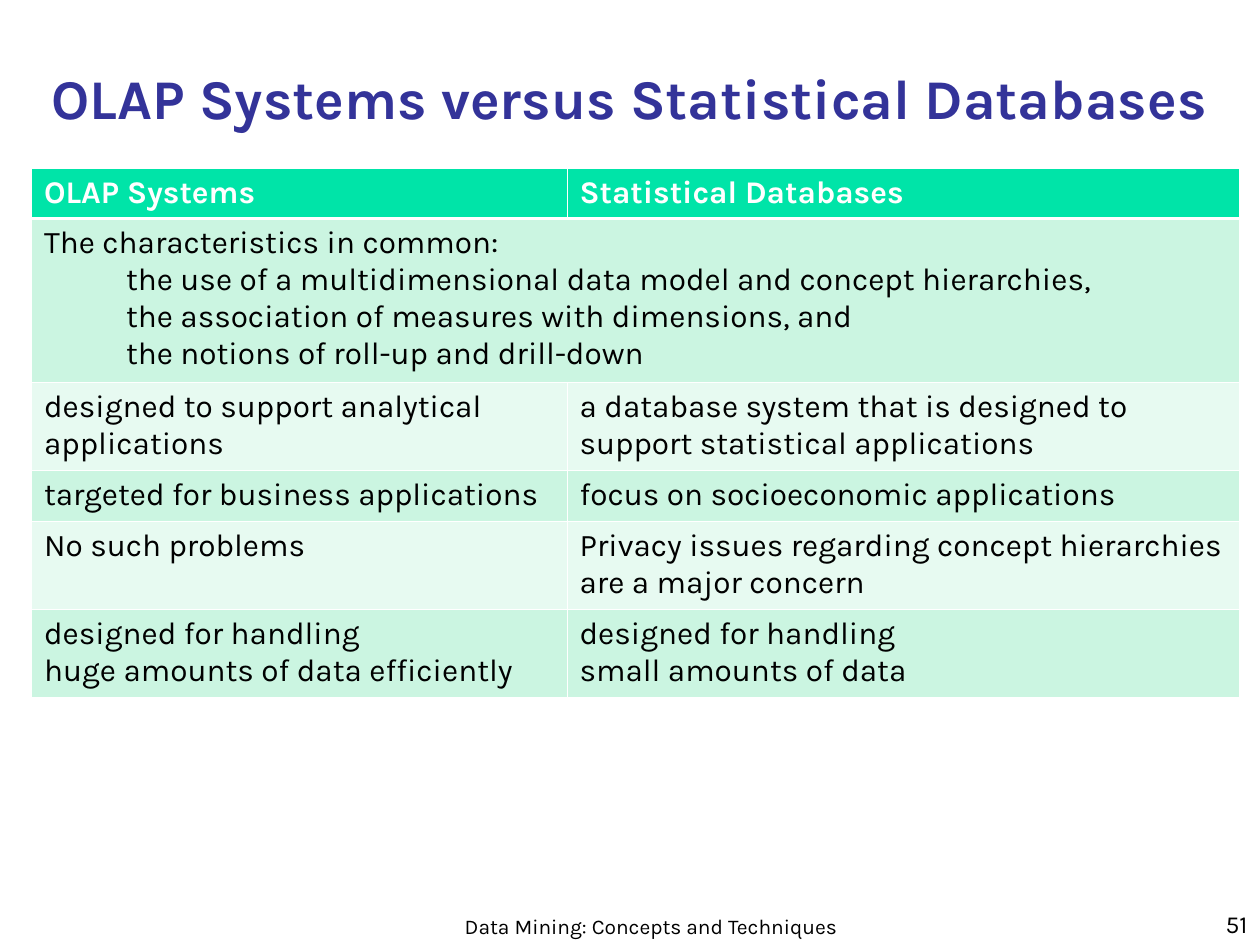
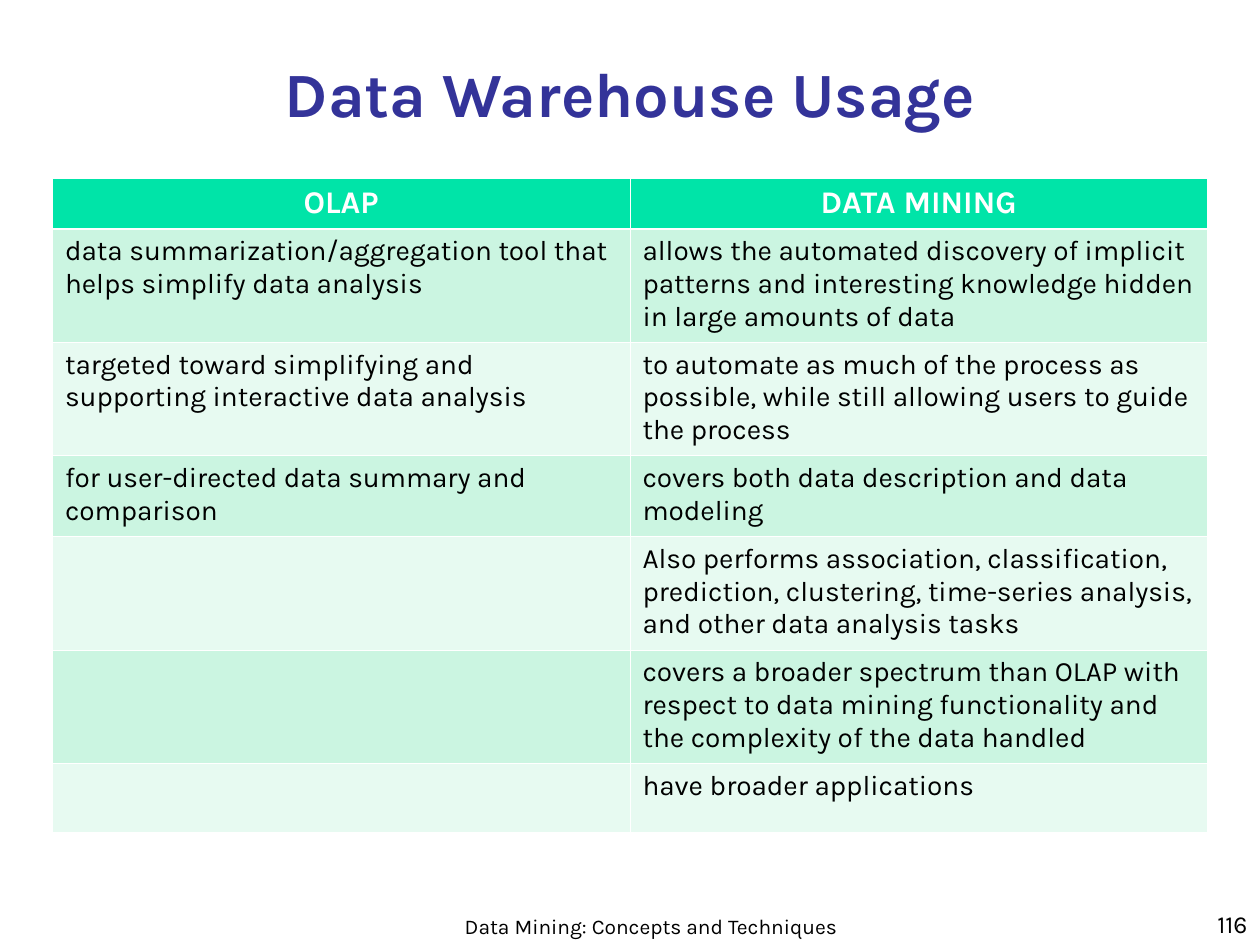
import pptx
import pptx.dml.color
import pptx.enum.text
import pptx.oxml
import pptx.oxml.ns
import pptx.util

RGBColor = pptx.dml.color.RGBColor
Align = pptx.enum.text.PP_ALIGN

INDIGO = RGBColor(0x33, 0x33, 0x99)
GREEN = RGBColor(0x00, 0xE4, 0xA8)
MINT = RGBColor(0xCB, 0xF5, 0xE1)
PALE_MINT = RGBColor(0xE7, 0xFA, 0xF1)
WHITE = RGBColor(0xFF, 0xFF, 0xFF)
BLACK = RGBColor(0x00, 0x00, 0x00)

FONT = "Karla"
FOOTER = "Data Mining: Concepts and Techniques"
WIDTH = pptx.util.Inches(10)
HEIGHT = pptx.util.Inches(7.5)
GRID_COLUMNS = 24
THIN, THICK = 0.45, 1.47
LIST_INDENT = 1.56

SYSTEMS_ROWS = [
    (0.96, "OLAP Systems", "Statistical Databases"),
    (3.12, "The characteristics in common:\n"
           "the use of a multidimensional data model and concept hierarchies,\n"
           "the association of measures with dimensions, and\n"
           "the notions of roll-up and drill-down"),
    (1.68, "designed to support analytical applications",
     "a database system that is designed to support statistical applications"),
    (0.96, "targeted for business applications", "focus on socioeconomic applications"),
    (1.68, "No such problems",
     "Privacy issues regarding concept hierarchies are a major concern"),
    (1.68, "designed for handling\nhuge amounts of data efficiently",
     "designed for handling\nsmall amounts of data"),
]

USAGE_ROWS = [
    (0.96, "OLAP", "DATA MINING"),
    (2.16, "data summarization/aggregation tool that helps simplify data analysis",
     "allows the automated discovery of implicit patterns and interesting knowledge "
     "hidden in large amounts of data"),
    (2.16, "targeted toward simplifying and\nsupporting interactive data analysis",
     "to automate as much of the process as possible, while still allowing users "
     "to guide the process"),
    (1.54, "for user-directed data summary and comparison",
     "covers both data description and data modeling"),
    (2.16, "", "Also performs association, classification, prediction, clustering, "
               "time-series analysis, and other data analysis tasks"),
    (2.16, "", "covers a broader spectrum than OLAP with respect to data mining "
               "functionality and the complexity of the data handled"),
    (1.32, "", "have broader applications"),
]


def grid(units):
    """Turn square grid units into a length."""
    return round(WIDTH * units / GRID_COLUMNS)


def style(para, size, color, bold=False, align=Align.LEFT):
    """Give a paragraph its font and alignment."""
    para.alignment = align
    para.font.name = FONT
    para.font.size = pptx.util.Pt(size)
    para.font.bold = bold
    para.font.color.rgb = color


def add_text(page, box, text, size, color, align, bold=False):
    """Place one bottom-anchored line of text in a grid box."""
    frame = page.shapes.add_textbox(*map(grid, box)).text_frame
    frame.word_wrap = True
    frame.vertical_anchor = pptx.enum.text.MSO_ANCHOR.BOTTOM
    frame.text = text
    style(frame.paragraphs[0], size, color, bold, align)


def add_footer(page, number):
    """Place the shared footer and the page number."""
    add_text(page, (8.6, 17, 7.6, 1), FOOTER, 12, BLACK, Align.CENTER)
    add_text(page, (19, 16.8, 5, 1.2), number, 14, BLACK, Align.RIGHT)


def add_borders(cell, top, bottom):
    """Draw white borders around a table cell."""
    properties = cell._tc.get_or_add_tcPr()
    for side, points in (("L", THIN), ("R", THIN), ("T", top), ("B", bottom)):
        properties.append(pptx.oxml.parse_xml(
            f'<a:ln{side} {pptx.oxml.ns.nsdecls("a")} w="{pptx.util.Pt(points)}">'
            f'<a:solidFill><a:srgbClr val="{WHITE}"/></a:solidFill></a:ln{side}>'))


def fill_cell(cell, text, row, size, header_align):
    """Write a cell and colour it by its row."""
    header = row == 0
    add_borders(cell, THICK if row == 1 else THIN, THICK if header else THIN)
    cell.fill.solid()
    cell.fill.fore_color.rgb = GREEN if header else (PALE_MINT, MINT)[row % 2]
    cell.text = text
    for para in cell.text_frame.paragraphs:
        if header:
            style(para, 18, WHITE, True, header_align)
        else:
            style(para, size, BLACK)


def add_comparison(page, left, top, widths, rows, size, header_align):
    """Build a two-column table; a row with one text spans both columns."""
    heights = [height for height, *_ in rows]
    box = (left, top, sum(widths), sum(heights))
    table = page.shapes.add_table(len(rows), len(widths), *map(grid, box)).table
    table.first_row = table.horz_banding = False
    for column, width in zip(table.columns, widths):
        column.width = grid(width)
    for index, (height, *texts) in enumerate(rows):
        table.rows[index].height = grid(height)
        first, last = table.cell(index, 0), table.cell(index, len(widths) - 1)
        for column, text in enumerate(texts):
            fill_cell(table.cell(index, column), text, index, size, header_align)
        if len(texts) == 1:
            fill_cell(last, "", index, size, header_align)
            first.merge(last)
            for para in first.text_frame.paragraphs[1:]:
                para._p.get_or_add_pPr().set("marL", str(grid(LIST_INDENT)))


def add_page(deck, title_box, title, title_size, number, **comparison):
    """Add a slide with a title, a comparison table and a footer."""
    page = deck.slides.add_slide(deck.slide_layouts[6])
    add_text(page, title_box, title, title_size, INDIGO, Align.CENTER, True)
    add_comparison(page, **comparison)
    add_footer(page, number)


def main():
    """Build and save the deck."""
    deck = pptx.Presentation()
    deck.slide_width, deck.slide_height = WIDTH, HEIGHT
    add_page(deck, (0, 0.4, 24, 2.2), "OLAP Systems versus Statistical Databases", 32, "51",
             left=0.6, top=3.2, widths=(10.2, 12.8), rows=SYSTEMS_ROWS, size=18,
             header_align=Align.LEFT)
    add_page(deck, (1, 0.8, 22, 1.8), "Data Warehouse Usage", 36, "116",
             left=1, top=3.4, widths=(11, 11), rows=USAGE_ROWS, size=16,
             header_align=Align.CENTER)
    deck.save("out.pptx")


if __name__ == "__main__":
    main()
